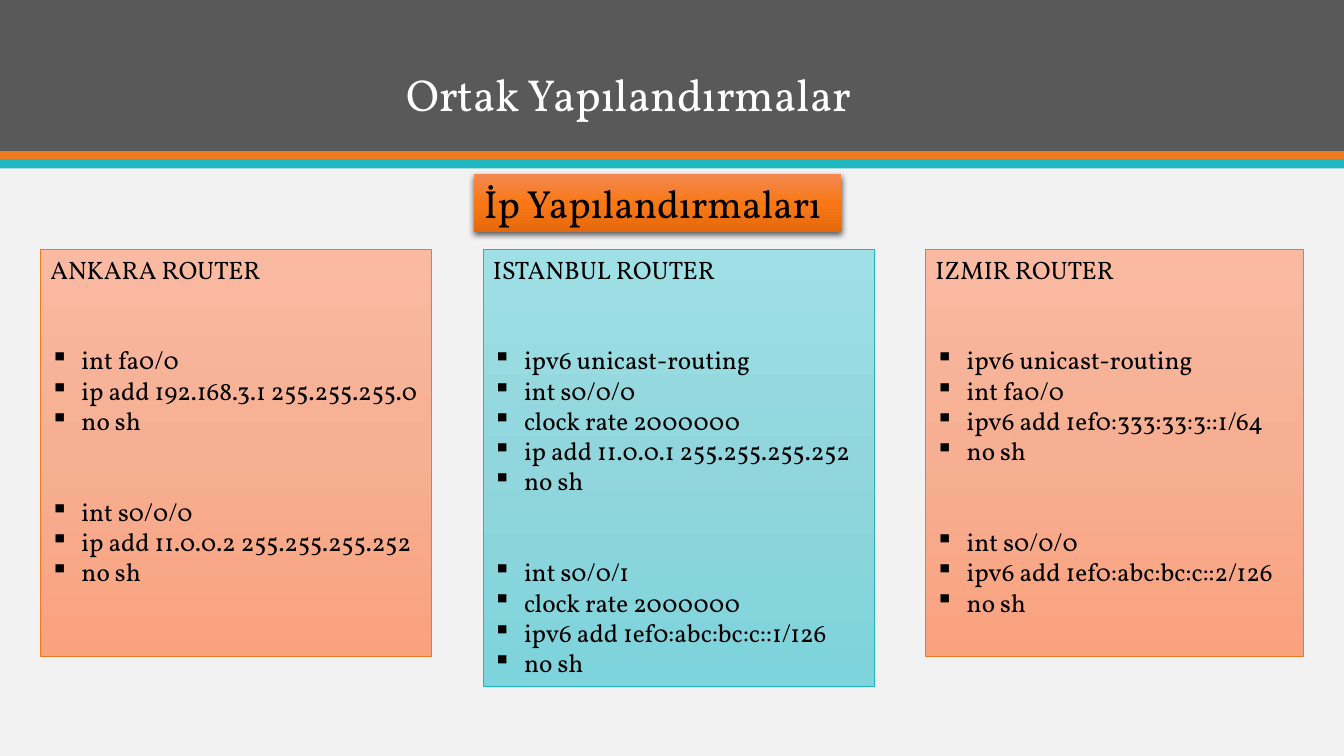
from copy import deepcopy
from dataclasses import dataclass

from lxml import etree
from pptx import Presentation
from pptx.dml.color import RGBColor
from pptx.enum.shapes import MSO_SHAPE
from pptx.enum.text import MSO_ANCHOR, MSO_AUTO_SIZE, PP_ALIGN
from pptx.oxml.ns import qn
from pptx.util import Emu, Inches, Pt

RECT = MSO_SHAPE.RECTANGLE
TOP, BOTTOM = MSO_ANCHOR.TOP, MSO_ANCHOR.BOTTOM
FIXED = MSO_AUTO_SIZE.NONE
LEFT = PP_ALIGN.LEFT
FONT = "Vollkorn"
ORANGE, TEAL = "EF7920", "1EB8C1"
PEACH = ("F9BAA1", "F6AF93", "FAA27E")
AQUA = ("9EE0E6", "91D6DC", "7DD4DC")
FLAME = ("F38950", "F97816", "E5690C")
WIDE, HIGH = 13.33, 7.5
MARGIN, PITCH, ROW = 0.4, 4.39, 2.47
GAP = Pt(43.3)
INDENT = Inches(0.31)


@dataclass
class Band:
    top: float
    high: float
    fill: str


@dataclass
class Card:
    name: str
    wide: float
    high: float
    line: str
    shades: tuple[str, ...]
    groups: tuple[tuple[str, ...], ...]


BANDS = (
    Band(0, 1.5, "595959"),
    Band(1.5, 0.09, ORANGE),
    Band(1.58, 0.09, TEAL),
)

CARDS = (
    Card("ANKARA ROUTER", 3.88, 4.04, ORANGE, PEACH, (
        ("int fa0/0", "ip add 192.168.3.1 255.255.255.0", "no sh"),
        ("int s0/0/0", "ip add 11.0.0.2 255.255.255.252", "no sh"),
    )),
    Card("ISTANBUL ROUTER", 3.88, 4.34, TEAL, AQUA, (
        ("ipv6 unicast-routing", "int s0/0/0", "clock rate 2000000",
         "ip add 11.0.0.1 255.255.255.252", "no sh"),
        ("int s0/0/1", "clock rate 2000000",
         "ipv6 add 1ef0:abc:bc:c::1/126", "no sh"),
    )),
    Card("IZMIR ROUTER", 3.75, 4.04, ORANGE, PEACH, (
        ("ipv6 unicast-routing", "int fa0/0",
         "ipv6 add 1ef0:333:33:3::1/64", "no sh"),
        ("int s0/0/0", "ipv6 add 1ef0:abc:bc:c::2/126", "no sh"),
    )),
)


def paint(color, code: str) -> None:
    color.rgb = RGBColor.from_string(code)


def place(shape, x: float, y: float, wide: float, high: float) -> None:
    shape.left, shape.top = Inches(x), Inches(y)
    shape.width, shape.height = Inches(wide), Inches(high)


def add_box(slide, x: float, y: float, wide: float, high: float):
    box = slide.shapes.add_shape(RECT, *map(Inches, (x, y, wide, high)))
    box.shadow.inherit = False
    box.line.fill.background()
    return box


def shade(box, codes: tuple[str, ...]) -> None:
    box.fill.gradient()
    box.fill.gradient_angle = 270
    stops = box._element.spPr.find(".//" + qn("a:gsLst"))
    stops.insert(1, deepcopy(stops[0]))
    for i, (stop, code) in enumerate(zip(box.fill.gradient_stops, codes)):
        stop.position = i / (len(codes) - 1)
        paint(stop.color, code)


def add_run(para, text: str, size: float, code: str) -> None:
    para.alignment = LEFT
    run = para.add_run()
    run.text = text
    run.font.name = FONT
    run.font.size = Pt(size)
    paint(run.font.color, code)


def set_frame(shape, anchor, wrap: bool):
    frame = shape.text_frame
    frame.auto_size = FIXED
    frame.vertical_anchor = anchor
    frame.word_wrap = wrap
    return frame


def add_mark(para) -> None:
    props = para._p.get_or_add_pPr()
    props.set("marL", str(INDENT))
    props.set("indent", str(-INDENT))
    etree.SubElement(props, qn("a:buChar")).set("char", "▪")


def add_card(slide, col: int, card: Card) -> None:
    box = add_box(slide, MARGIN + col * PITCH, ROW, card.wide, card.high)
    shade(box, card.shades)
    paint(box.line.color, card.line)
    box.line.width = Pt(0.5)
    frame = set_frame(box, TOP, True)
    add_run(frame.paragraphs[0], card.name, 18, "000000")
    for group in card.groups:
        for i, text in enumerate(group):
            para = frame.add_paragraph()
            if i == 0:
                para.space_before = GAP
            add_mark(para)
            add_run(para, text, 18, "000000")


def add_glow(box) -> None:
    effects = box._element.spPr.find(qn("a:effectLst"))
    outer = etree.SubElement(effects, qn("a:outerShdw"), blurRad=str(Pt(4.5)),
                             dist=str(Pt(1.5)), dir="5400000", rotWithShape="0")
    color = etree.SubElement(outer, qn("a:srgbClr"), val="000000")
    etree.SubElement(color, qn("a:alpha"), val="63000")


def add_badge(slide) -> None:
    badge = add_box(slide, 4.7, 1.73, 3.64, 0.57)
    shade(badge, FLAME)
    add_glow(badge)
    frame = set_frame(badge, TOP, False)
    add_run(frame.paragraphs[0], "İp Yapılandırmaları", 28, "000000")


def set_title(slide) -> None:
    title = slide.shapes.title
    slide.shapes._spTree.append(title._element)
    place(title, 3.93, 0.12, 10.5, 1.13)
    para = set_frame(title, BOTTOM, True).paragraphs[0]
    para.line_spacing = 0.9
    add_run(para, "Ortak Yapılandırmalar", 32, "FFFFFF")


def main() -> None:
    deck = Presentation()
    deck.slide_width, deck.slide_height = Emu(Inches(WIDE)), Inches(HIGH)
    slide = deck.slides.add_slide(deck.slide_layouts[5])
    back = slide.background.fill
    back.solid()
    paint(back.fore_color, "F2F2F2")
    for band in BANDS:
        box = add_box(slide, 0, band.top, WIDE, band.high)
        box.fill.solid()
        paint(box.fill.fore_color, band.fill)
    set_title(slide)
    for col, card in enumerate(CARDS):
        add_card(slide, col, card)
    add_badge(slide)
    deck.save("out.pptx")


main()
